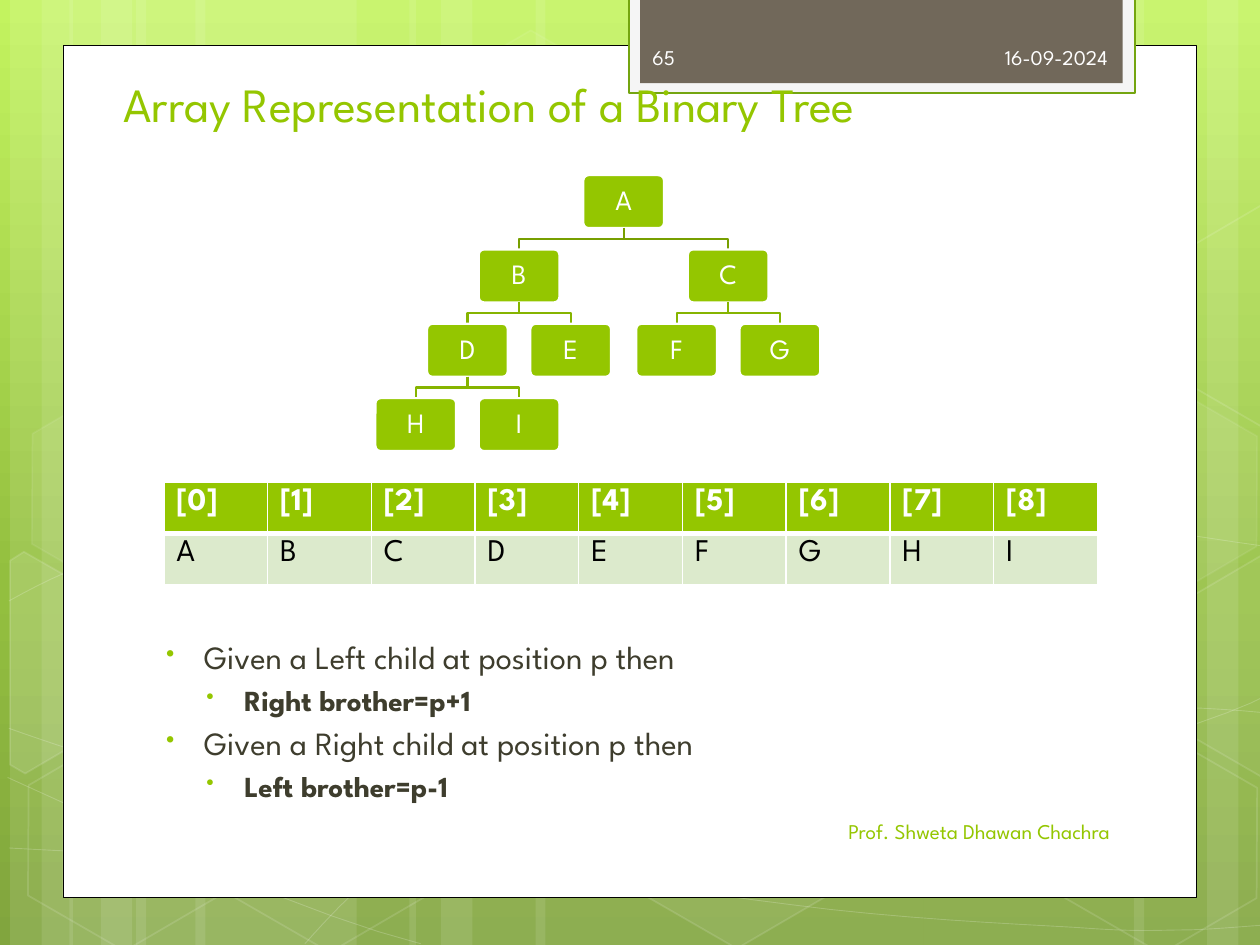
from dataclasses import dataclass
from typing import NamedTuple, Optional

import pptx
import pptx.dml.color
import pptx.enum.shapes
import pptx.enum.text
import pptx.oxml.ns
import pptx.util
from lxml import etree
from pptx.util import Inches

qn = pptx.oxml.ns.qn
ShapeKind = pptx.enum.shapes.MSO_SHAPE
Align = pptx.enum.text.PP_ALIGN
Anchor = pptx.enum.text.MSO_ANCHOR


@dataclass(frozen=True)
class Theme:
    font: str = "League Spartan"
    green: str = "94C600"
    frame_green: str = "74A510"
    top_branch: str = "779F00"
    branch: str = "86B400"
    pale_green: str = "DCEACC"
    brown: str = "71685A"
    off_white: str = "F5F5F5"
    white: str = "FFFFFF"
    black: str = "000000"
    body: str = "3E3D2D"
    tab_text: str = "FEFEFE"
    gradient: tuple = ((0, "C3F35F"), (62, "93BF3F"), (100, "81A53E"))
    title_size: float = 27.3
    table_size: float = 18
    node_size: float = 16
    small_size: float = 12
    body_sizes: tuple = (18.5, 16.6)


THEME = Theme()


class Box(NamedTuple):
    left: float
    top: float
    width: float
    height: float


class Hexagon(NamedTuple):
    left: float
    top: float
    fill_opacity: Optional[int]
    line_opacity: int


class Polygon(NamedTuple):
    points: tuple
    fill_opacity: Optional[int]


class Label(NamedTuple):
    text: str
    box: Box
    color: str
    align: Align


class Bullet(NamedTuple):
    text: str
    level: int


STRIPES = ((1.08, 1.75), (0.08, 0.5), (0.33, 0.83), (1.55, 1.75), (0.55, 0.5), (0.8, 0.83),
           (7.33, 1.75), (9.58, 0.5), (9, 0.83), (4.25, 3.08), (3.25, 0.5), (3.5, 0.83))
# Each curve is a start point followed by cubic segments of three points.
CURVES = (
    ((0.07, 6.73), (0.61, 6.76), (1.15, 6.79), (1.9, 6.78), (2.65, 6.77), (3.58, 6.75), (4.58, 6.65),
     (5.58, 6.55), (7, 6.36), (7.92, 6.17), (8.83, 5.98), (9.77, 5.68), (10.07, 5.51)),
    ((0.07, 4.77), (0.36, 4.61), (0.65, 4.46), (1.21, 4.31), (1.78, 4.16), (2.59, 3.94), (3.47, 3.87),
     (4.36, 3.8), (5.44, 3.79), (6.54, 3.87), (7.64, 3.95), (9.47, 4.26), (10.07, 4.34)),
    ((0.06, 6.17), (1.27, 6.72), (2.47, 7.27), (3.34, 7.49)),
    ((0.07, 5.78), (0.38, 5.89), (0.7, 6), (1.28, 6.16), (1.86, 6.31), (2.73, 6.56), (3.57, 6.73),
     (4.4, 6.9), (5.45, 7.08), (6.28, 7.18), (7.11, 7.29), (8, 7.33), (8.53, 7.36),
     (9.05, 7.4), (9.19, 7.38), (9.45, 7.38), (9.71, 7.37), (9.89, 7.35), (10.07, 7.34)),
    ((2.42, 7.49), (2.6, 7.29), (2.78, 7.09), (3.02, 6.91), (3.26, 6.73), (3.6, 6.53), (3.88, 6.39),
     (4.16, 6.25), (4.33, 6.19), (4.7, 6.09), (5.06, 5.99), (5.73, 5.85), (6.08, 5.78),
     (6.44, 5.71), (6.49, 5.71), (6.8, 5.69), (7.11, 5.66), (7.6, 5.63), (7.94, 5.62),
     (8.29, 5.61), (8.86, 5.62), (9.53, 5.62), (9.71, 5.63), (9.88, 5.64), (10.06, 5.66)),
)
HEXAGONS = (Hexagon(3.34, 0.36, 4, 8), Hexagon(4.97, 5.89, 6, 12), Hexagon(0.11, 5.91, None, 12),
            Hexagon(0.14, 3.12, 7, 8), Hexagon(1.74, 5.92, None, 12), Hexagon(7.53, 4.53, 10, 12),
            Hexagon(8.34, 5.93, None, 12), Hexagon(8.34, 3.14, 7, 8))
CUT_HEXAGONS = (
    Polygon(((0.08, 4.45), (0.19, 4.38), (0.96, 4.82), (0.95, 5.7), (0.2, 6.14), (0.08, 6.07)), 10),
    Polygon(((9.26, 4.85), (10.01, 4.41), (10.09, 4.46), (10.09, 6.13), (10.02, 6.17), (9.26, 5.73)), 4),
    Polygon(((9.26, 2.07), (10.01, 1.63), (10.1, 1.68), (10.09, 3.35), (10.02, 3.39), (9.26, 2.95)), None),
)
LABELS = (
    Label("16-09-2024", Box(6.56, 0.25, 2.33, 0.4), THEME.tab_text, Align.RIGHT),
    Label("Prof. Shweta Dhawan Chachra", Box(5.08, 6.4, 3.83, 0.4), THEME.green, Align.RIGHT),
    Label("65", Box(5.08, 0.25, 1.46, 0.4), THEME.tab_text, Align.LEFT),
)
BULLETS = (Bullet("Given a Left child at position p then", 0), Bullet("Right brother=p+1", 1),
           Bullet("Given a Right child at position p then", 0), Bullet("Left brother=p-1", 1))
TREE = "ABCDEFGHI"
NODE_WIDTH, NODE_HEIGHT, LEVEL_STEP = 0.64, 0.42, 0.59
TREE_CENTER, TREE_TOP = 4.95, 1.39


def rgb(color: str):
    return pptx.dml.color.RGBColor.from_string(color)


def set_opacity(element, percent: int) -> None:
    for color in element.iter(qn("a:srgbClr")):
        etree.SubElement(color, qn("a:alpha"), val=str(percent * 1000))


def style(shape, fill=None, line=None, width=1.0, fill_opacity=100, line_opacity=100):
    shape.shadow.inherit = False
    if fill:
        shape.fill.solid()
        shape.fill.fore_color.rgb = rgb(fill)
        set_opacity(shape.element.spPr.find(qn("a:solidFill")), fill_opacity)
    else:
        shape.fill.background()
    if line:
        shape.line.color.rgb = rgb(line)
        shape.line.width = pptx.util.Pt(width)
        set_opacity(shape.line.color and shape.element.spPr.find(qn("a:ln")), line_opacity)
    else:
        shape.line.fill.background()
    return shape


def add_box(slide, box: Box, kind=ShapeKind.RECTANGLE, **look):
    return style(slide.shapes.add_shape(kind, *map(Inches, box)), **look)


def add_outline(slide, points, close=False, **look):
    corners = [(Inches(x), Inches(y)) for x, y in points]
    builder = slide.shapes.build_freeform(*corners[0], scale=1.0)
    builder.add_line_segments(corners[1:], close=close)
    return style(builder.convert_to_shape(), **look)


def write(paragraph, text: str, *, size: float, color: str, bold=False, align=Align.LEFT) -> None:
    paragraph.alignment = align
    run = paragraph.add_run()
    run.text = text
    run.font.name = THEME.font
    run.font.size = pptx.util.Pt(size)
    run.font.bold = bold
    run.font.color.rgb = rgb(color)


def add_text_box(slide, box: Box, anchor=Anchor.MIDDLE):
    frame = slide.shapes.add_textbox(*map(Inches, box)).text_frame
    frame.word_wrap = True
    frame.vertical_anchor = anchor
    return frame


def flatten(curve, steps=8):
    """Turn a chain of cubic segments into points on the curve."""
    points = [curve[0]]
    for first in range(0, len(curve) - 1, 3):
        a, b, c, d = curve[first:first + 4]
        for step in range(1, steps + 1):
            t = step / steps
            u = 1 - t
            weights = (u ** 3, 3 * u * u * t, 3 * u * t * t, t ** 3)
            points.append(tuple(sum(w * p[axis] for w, p in zip(weights, (a, b, c, d))) for axis in (0, 1)))
    return points


def draw_backdrop(slide) -> None:
    fill = slide.background.fill
    fill.gradient()
    fill.gradient_angle = 270
    stops = next(slide.element.iter(qn("a:gsLst")))
    for stop in list(stops):
        stops.remove(stop)
    for position, color in THEME.gradient:
        stop = etree.SubElement(stops, qn("a:gs"), pos=str(position * 1000))
        etree.SubElement(stop, qn("a:srgbClr"), val=color)
    white = THEME.white
    for left, width in STRIPES:
        add_box(slide, Box(left, 0, width, 7.5), fill=white, fill_opacity=10)
    for curve in CURVES:
        add_outline(slide, flatten(curve), line=white, width=0.5, line_opacity=20)
    for item in HEXAGONS:
        hexagon = add_box(slide, Box(item.left, item.top, 1.75, 1.52), ShapeKind.HEXAGON,
                          fill=white if item.fill_opacity else None, fill_opacity=item.fill_opacity,
                          line=white, line_opacity=item.line_opacity)
        hexagon.adjustments[0] = 0.285
        hexagon.rotation = 30
    for item in CUT_HEXAGONS:
        add_outline(slide, item.points, close=True, fill=white if item.fill_opacity else None,
                    fill_opacity=item.fill_opacity, line=white, line_opacity=12)
    add_box(slide, Box(0.5, 0.36, 9, 6.76), fill=white, line=THEME.black, width=0.5)
    add_box(slide, Box(4.99, -0.02, 4.02, 0.76), fill=THEME.off_white, line=THEME.frame_green, width=1.25)
    add_box(slide, Box(5.08, -0.02, 3.83, 0.68), fill=THEME.brown)


def place_title(slide, text: str) -> None:
    title = slide.shapes.title
    slide.shapes[-1].element.addnext(title.element)
    title.left, title.top, title.width, title.height = map(Inches, (0.88, 0.52, 7.68, 0.58))
    title.text_frame.auto_size = pptx.enum.text.MSO_AUTO_SIZE.NONE
    title.text_frame.vertical_anchor = Anchor.BOTTOM
    write(title.text_frame.paragraphs[0], text, size=THEME.title_size, color=THEME.green)


def draw_bullets(slide) -> None:
    frame = add_text_box(slide, Box(1.14, 5.01, 7.41, 1.37), Anchor.TOP)
    for index, bullet in enumerate(BULLETS):
        paragraph = frame.add_paragraph() if index else frame.paragraphs[0]
        size = THEME.body_sizes[bullet.level]
        properties = paragraph._p.get_or_add_pPr()
        properties.set("marL", str(Inches((0.38, 0.7)[bullet.level])))
        properties.set("indent", str(Inches(-0.3)))
        color = etree.SubElement(properties, qn("a:buClr"))
        etree.SubElement(color, qn("a:srgbClr"), val=THEME.green)
        etree.SubElement(properties, qn("a:buSzPct"), val="76000")
        etree.SubElement(properties, qn("a:buChar"), char="•")
        paragraph.level = bullet.level
        if index:
            paragraph.space_before = pptx.util.Pt(round(size * 0.2, 1))
        write(paragraph, bullet.text, size=size, color=THEME.body, bold=bullet.level == 1)


def set_borders(cell, **widths: float) -> None:
    for side in "LRTB":
        line = etree.SubElement(cell._tc.get_or_add_tcPr(), qn(f"a:ln{side}"),
                                w=str(pptx.util.Pt(widths.get(side, 1))))
        fill = etree.SubElement(line, qn("a:solidFill"))
        etree.SubElement(fill, qn("a:srgbClr"), val=THEME.white)


def draw_array(slide) -> None:
    table = slide.shapes.add_table(2, len(TREE), *map(Inches, (1.3, 3.83, 7.41, 0.81))).table
    for index, letter in enumerate(TREE):
        for row, text in enumerate((f"[{index}]", letter)):
            header = row == 0
            cell = table.cell(row, index)
            set_borders(cell, **{"B" if header else "T": 3})
            cell.fill.solid()
            cell.fill.fore_color.rgb = rgb(THEME.green if header else THEME.pale_green)
            write(cell.text_frame.paragraphs[0], text, size=THEME.table_size, bold=header,
                  color=THEME.white if header else THEME.black)


def draw_tree(slide) -> None:
    """Draw the heap-ordered letters; the parent of item i is item (i - 1) // 2."""
    places = [(TREE_CENTER, 0)]
    for index, letter in enumerate(TREE):
        if index:
            parent_center, parent_level = places[(index - 1) // 2]
            level = parent_level + 1
            spread = 0.83 if level == 1 else 0.41
            center = parent_center + (spread if index % 2 == 0 else -spread)
            places.append((center, level))
            top = TREE_TOP + level * LEVEL_STEP
            start = top - LEVEL_STEP + NODE_HEIGHT
            middle = (start + top) / 2
            add_outline(slide, ((parent_center, start), (parent_center, middle), (center, middle), (center, top)),
                        line=THEME.top_branch if level == 1 else THEME.branch, width=1.25)
        center, level = places[index]
        node = add_box(slide, Box(center - NODE_WIDTH / 2, TREE_TOP + level * LEVEL_STEP, NODE_WIDTH, NODE_HEIGHT),
                       ShapeKind.ROUNDED_RECTANGLE, fill=THEME.green, line=THEME.white, width=1.25)
        node.adjustments[0] = 0.1
        frame = node.text_frame
        frame.margin_left = frame.margin_right = frame.margin_top = frame.margin_bottom = Inches(0.07)
        frame.vertical_anchor = Anchor.MIDDLE
        frame.paragraphs[0].line_spacing = 0.9
        write(frame.paragraphs[0], letter, size=THEME.node_size, color=THEME.white, align=Align.CENTER)


def main() -> None:
    presentation = pptx.Presentation()
    presentation.slide_width, presentation.slide_height = Inches(10), Inches(7.5)
    slide = presentation.slides.add_slide(presentation.slide_layouts[5])
    draw_backdrop(slide)
    draw_bullets(slide)
    place_title(slide, "Array Representation of a Binary Tree")
    draw_array(slide)
    draw_tree(slide)
    for label in LABELS:
        write(add_text_box(slide, label.box).paragraphs[0], label.text, size=THEME.small_size,
              color=label.color, align=label.align)
    presentation.save("out.pptx")


if __name__ == "__main__":
    main()
